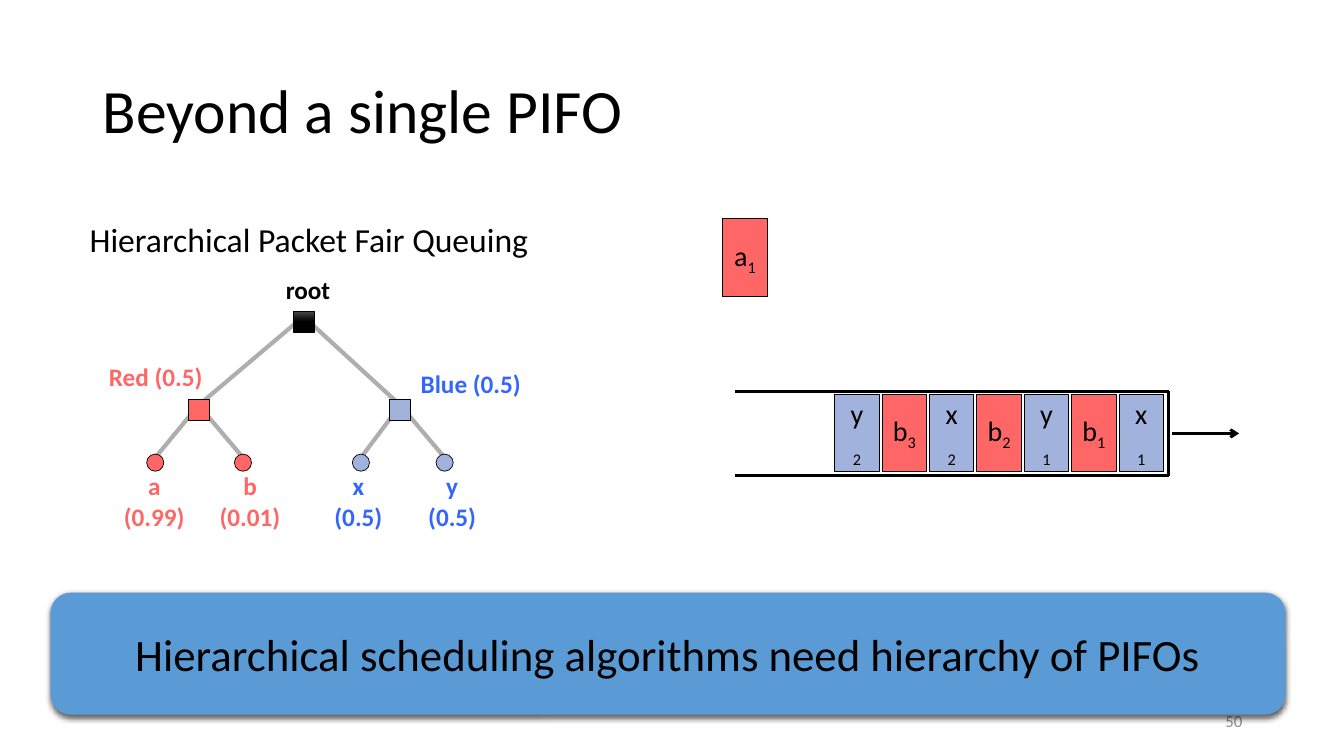
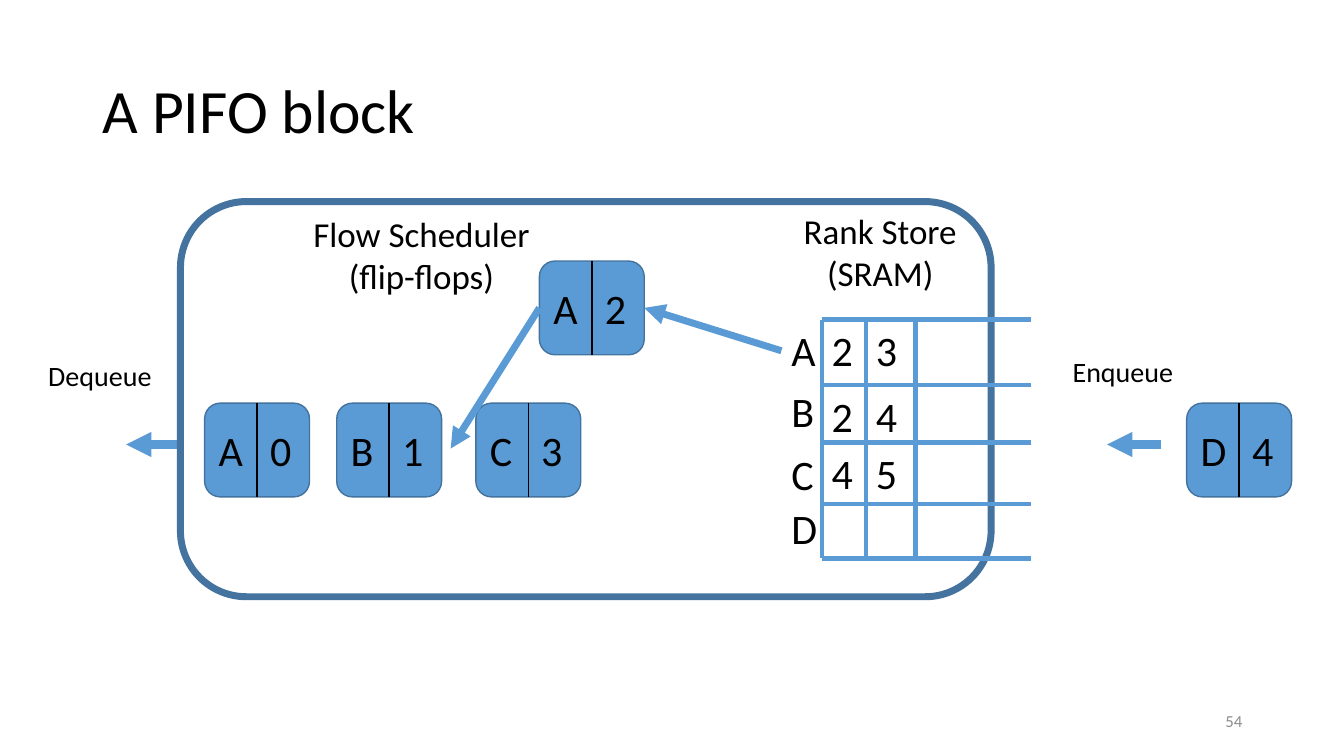
from lxml import etree
from pptx import Presentation
from pptx import util as u
from pptx.dml.color import RGBColor
from pptx.enum import shapes, text
from pptx.oxml.ns import qn

INK = {
    "black": "000000", "grey": "8C8C8C", "edge": "AEAEAE", "shine": "4B4B4B",
    "red": "FF6666", "pale": "A1B2DD", "blue": "3366FF",
    "fill": "5B9BD5", "rim": "43739E",
}
FONT = "Calibri"
KIND = shapes.MSO_SHAPE
ALIGN = {"l": text.PP_ALIGN.LEFT, "c": text.PP_ALIGN.CENTER, "r": text.PP_ALIGN.RIGHT}
ANCHOR = {"t": text.MSO_ANCHOR.TOP, "m": text.MSO_ANCHOR.MIDDLE}


def rgb(name):
    return RGBColor.from_string(INK[name])


def inches(*sizes):
    return [u.Inches(size) for size in sizes]


def write(shape, words, size, color="black", align="l", anchor="t",
          bold=False, wrap=True, space=None):
    """Fill a shape with lines; the part of a line after "_" is subscript."""
    frame = shape.text_frame
    for key, value in {"word_wrap": wrap, "vertical_anchor": ANCHOR[anchor]}.items():
        setattr(frame, key, value)
    look = {"name": FONT, "size": u.Pt(size), "bold": bold}
    for i, line in enumerate(words.split("\n")):
        para = frame.add_paragraph() if i else frame.paragraphs[0]
        para.alignment = ALIGN[align]
        if space:
            para.line_spacing = space
        for j, part in enumerate(line.split("_")):
            if not part:
                continue
            run = para.add_run()
            run.text = part
            for key, value in look.items():
                setattr(run.font, key, value)
            run.font.color.rgb = rgb(color)
            if j:
                run.font._element.set("baseline", "-25000")


def label(slide, box, words, size, **look):
    write(slide.shapes.add_textbox(*inches(*box)), words, size, **look)


def draw(slide, kind, box, fill=None, line=None, width=1):
    shape = slide.shapes.add_shape(kind, *inches(*box))
    shape.shadow.inherit = False
    if fill:
        shape.fill.solid()
        shape.fill.fore_color.rgb = rgb(fill)
    else:
        shape.fill.background()
    if line:
        shape.line.color.rgb = rgb(line)
        shape.line.width = u.Pt(width)
    else:
        shape.line.fill.background()
    return shape


def link(slide, start, end, color, width, head=None):
    """Draw a line, with an arrowhead of the given type at its end."""
    wire = slide.shapes.add_connector(
        shapes.MSO_CONNECTOR.STRAIGHT, *inches(*start, *end))
    wire.line.color.rgb = rgb(color)
    wire.line.width = u.Pt(width)
    if head:
        etree.SubElement(wire.line._get_or_add_ln(), qn("a:tailEnd"), type=head)
    etree.SubElement(wire._element.spPr, qn("a:effectLst"))
    return wire


def start(deck, title, page):
    slide = deck.slides.add_slide(deck.slide_layouts[6])
    label(slide, (0.92, 0.4, 11.5, 1.45), title, 44, anchor="m", space=0.9)
    label(slide, (9.42, 6.95, 3, 0.4), page, 12, color="grey", align="r", anchor="m")
    return slide


def packet(slide, x, y, name, color):
    shape = draw(slide, KIND.RECTANGLE, (x, y, 0.44, 0.77), color, "black", 0.75)
    write(shape, name, 20, align="c", anchor="m")


def queue(slide, x, y):
    """Draw the queue open to the left, its packets and the way out."""
    wide, high, pitch = 4.3, 0.84, 0.47
    right, low = x + wide, y + high
    link(slide, (right + 0.03, y + high / 2), (right + 0.7, y + high / 2),
         "black", 2, "arrow")
    for a, b in [((x, y), (right, y)), ((x, low), (right, low)),
                 ((right, low), (right, y))]:
        link(slide, a, b, "black", 2)
    names = ["y\n_2", "b_3", "x\n_2", "b_2", "y\n_1", "b_1", "x\n_1"]
    for i, name in enumerate(names):
        color = "red" if name[0] == "b" else "pale"
        packet(slide, x + 0.99 + i * pitch, y + 0.03, name, color)


def tree(slide, x, y):
    """Draw the scheduling tree, with its heading at the given corner."""
    label(slide, (x, y, 4.88, 0.5), "Hierarchical Packet Fair Queuing", 24)
    # name: centre, size, colour, parent
    nodes = {
        "root": (2.22, 1.07, 0.21, "black", None),
        "red": (1.18, 1.95, 0.21, "red", "root"),
        "blue": (3.18, 1.95, 0.21, "pale", "root"),
        "a": (0.75, 2.47, 0.17, "red", "red"),
        "b": (1.62, 2.47, 0.17, "red", "red"),
        "x": (2.79, 2.47, 0.17, "pale", "blue"),
        "y": (3.62, 2.47, 0.17, "pale", "blue"),
    }
    lift = 0.05
    for cx, cy, _, _, up in nodes.values():
        if up:
            px, py = nodes[up][:2]
            link(slide, (x + px, y + py - lift), (x + cx, y + cy - lift), "edge", 3)
    for name, (cx, cy, size, color, _) in nodes.items():
        kind = KIND.OVAL if len(name) == 1 else KIND.RECTANGLE
        box = (x + cx - size / 2, y + cy - size / 2, size, size)
        shape = draw(slide, kind, box, color, "black", 0.5)
        if name == "root":
            shape.fill.gradient()
            shape.fill.gradient_angle = 270
            for stop, tint, at in zip(shape.fill.gradient_stops,
                                      ("shine", "black"), (0, 0.5)):
                stop.color.rgb = rgb(tint)
                stop.position = at
    tags = [
        (1.91, 0.55, 0.71, "root", "black"),
        (0.12, 1.42, 1.27, "Red (0.5)", "red"),
        (3.21, 1.48, 1.34, "Blue (0.5)", "blue"),
        (0.29, 2.5, 0.9, "a\n(0.99)", "red"),
        (1.24, 2.5, 0.9, "b\n(0.01)", "red"),
        (2.39, 2.5, 0.75, "x\n(0.5)", "blue"),
        (3.32, 2.5, 0.75, "y\n(0.5)", "blue"),
    ]
    for dx, dy, wide, words, color in tags:
        high = 0.71 if "\n" in words else 0.4
        label(slide, (x + dx, y + dy, wide, high), words, 18,
              color=color, align="c", bold=True, wrap=False)


def banner(slide, box, words):
    shape = draw(slide, KIND.ROUNDED_RECTANGLE, box, "fill")
    glow = shape._element.spPr.find(qn("a:effectLst"))
    shade = etree.SubElement(
        glow, qn("a:outerShdw"), blurRad=str(u.Pt(4.5)), dist=str(u.Pt(1.5)),
        dir="5400000", rotWithShape="0")
    tint = etree.SubElement(shade, qn("a:srgbClr"), val=INK["black"])
    etree.SubElement(tint, qn("a:alpha"), val="63000")
    write(shape, words, 32, align="c", anchor="m")


def digit(slide, x, y, words):
    label(slide, (x, y, 0.36, 0.61), words, 30)


def block(slide, x, y, flow, rank):
    """Draw a flow and its rank side by side; return the outer shape."""
    wide, high = 1.04, 0.93
    shape = draw(slide, KIND.ROUNDED_RECTANGLE, (x, y, wide, high), "fill", "rim")
    link(slide, (x + wide / 2, y), (x + wide / 2, y + high), "black", 1)
    digit(slide, x + 0.04, y + 0.16, flow)
    digit(slide, x + 0.55, y + 0.16, rank)
    return shape


def store(slide, x, y):
    """Draw the rank store, open to the right, with flow names on its left."""
    wide, high = 2.08, 2.37
    cols = [0, 0.44, 0.93]
    # top of the row, top of the flow name, flow, ranks
    rows = [(0, 0, "A", "23"), (0.65, 0.61, "B", "24"),
            (1.22, 1.23, "C", "45"), (1.83, 1.77, "D", "")]
    for top in [row[0] for row in rows] + [high]:
        link(slide, (x, y + top), (x + wide, y + top), "fill", 3)
    for left in cols:
        link(slide, (x + left, y), (x + left, y + high), "fill", 3)
    for top, drop, flow, ranks in rows:
        digit(slide, x - 0.4, y + drop, flow)
        for left, rank in zip(cols, ranks):
            digit(slide, x + left, y + top, rank)


def beyond(deck):
    slide = start(deck, "Beyond a single PIFO", "50")
    queue(slide, 7.29, 3.88)
    packet(slide, 7.17, 2.17, "a_1", "red")
    tree(slide, 0.79, 2.12)
    banner(slide, (0.5, 5.88, 12.25, 1.21),
           "Hierarchical scheduling algorithms need hierarchy of PIFOs")


def inside(deck):
    slide = start(deck, "A PIFO block", "54")
    for x, words in [(1.79, "Dequeue"), (11.52, "Enqueue")]:
        link(slide, (x, 4.41), (x - 0.54, 4.41), "fill", 6, "triangle")
    draw(slide, KIND.ROUNDED_RECTANGLE, (1.79, 2, 8.04, 3.92), None, "rim", 5)
    for box, words in [((7.71, 2.03, 2.04, 0.94), "Rank Store\n(SRAM)"),
                       ((2.56, 2.06, 3.24, 0.94), "Flow Scheduler\n(flip-flops)")]:
        label(slide, box, words, 25, align="c")
    for x, y, words in [(0.38, 3.51, "Dequeue"), (10.54, 3.47, "Enqueue")]:
        label(slide, (x, y, 1.34, 0.44), words, 20)
    for x, flow, rank in [(2.03, "A", "0"), (3.34, "B", "1"),
                          (4.72, "C", "3"), (11.77, "D", "4")]:
        block(slide, x, 4, flow, rank)
    moved = block(slide, 5.35, 2.59, "A", "2")
    store(slide, 8.15, 3.17)
    fetch = link(slide, (7.75, 3.48), (6.39, 3.06), "fill", 5, "triangle")
    fetch.end_connect(moved, 3)
    push = link(slide, (5.35, 3.06), (4.47, 4.45), "fill", 5, "triangle")
    push.begin_connect(moved, 1)


def main():
    deck = Presentation()
    deck.slide_width, deck.slide_height = inches(13.33, 7.5)
    beyond(deck)
    inside(deck)
    deck.save("out.pptx")


if __name__ == "__main__":
    main()
